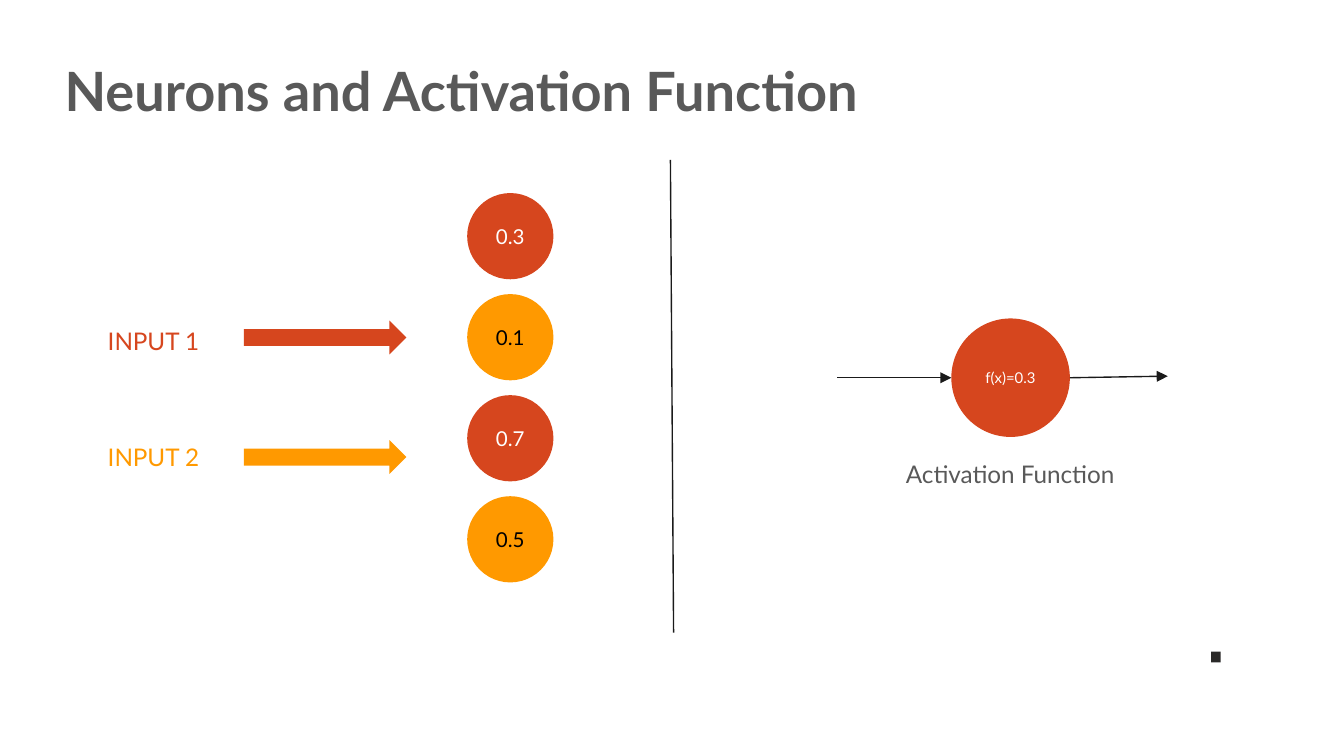
import pptx
import pptx.dml.color
import pptx.enum.shapes
import pptx.enum.text
import pptx.oxml
import pptx.oxml.ns
import pptx.util

Cm = pptx.util.Cm
Shape = pptx.enum.shapes.MSO_SHAPE
Align = pptx.enum.text.PP_ALIGN
Anchor = pptx.enum.text.MSO_ANCHOR

RED = "D6461E"
ORANGE = "FF9900"
GREY = "595959"
INK = "1A1A1A"
WHITE = "FFFFFF"
BLACK = "000000"


def color(value):
    return pptx.dml.color.RGBColor.from_string(value)


def write(shape, text, size, text_color, align=Align.CENTER, bold=False, anchor=Anchor.TOP):
    frame = shape.text_frame
    frame.word_wrap = True
    frame.vertical_anchor = anchor
    frame.margin_left = frame.margin_right = Cm(0.25)
    frame.margin_top = frame.margin_bottom = Cm(0.25)
    para = frame.paragraphs[0]
    para.text = text
    para.alignment = align
    para.font.name = "Lato"
    para.font.size = pptx.util.Pt(size)
    para.font.bold = bold
    para.font.color.rgb = color(text_color)


def add_label(page, left, top, width, height, text, size, text_color, **style):
    box = page.shapes.add_textbox(Cm(left), Cm(top), Cm(width), Cm(height))
    write(box, text, size, text_color, **style)


def add_solid(page, kind, left, top, width, height, fill):
    """Add a preset shape with a flat fill, no outline and no shadow."""
    shape = page.shapes.add_shape(kind, Cm(left), Cm(top), Cm(width), Cm(height))
    shape.shadow.inherit = False
    shape.fill.solid()
    shape.fill.fore_color.rgb = color(fill)
    shape.line.fill.background()
    return shape


def add_neuron(page, left, top, diameter, fill, text, size, text_color):
    circle = add_solid(page, Shape.OVAL, left, top, diameter, diameter, fill)
    write(circle, text, size, text_color, anchor=Anchor.MIDDLE)


def add_line(page, start, end, arrow=False):
    line = page.shapes.add_connector(
        pptx.enum.shapes.MSO_CONNECTOR.STRAIGHT, *map(Cm, start + end))
    line.line.color.rgb = color(INK)
    line.line.width = pptx.util.Pt(0.75)
    if arrow:
        tip = pptx.oxml.parse_xml(
            f'<a:tailEnd {pptx.oxml.ns.nsdecls("a")} type="triangle"/>')
        line.line._get_or_add_ln().append(tip)
    line._element.spPr.append(
        pptx.oxml.parse_xml(f'<a:effectLst {pptx.oxml.ns.nsdecls("a")}/>'))


def add_layer(page):
    """Stack the neurons of one layer at an even pitch."""
    values = ["0.3", "0.1", "0.7", "0.5"]
    for index, value in enumerate(values):
        fill, text_color = [(RED, WHITE), (ORANGE, BLACK)][index % 2]
        add_neuron(page, 8.83, 3.65 + 1.91 * index, 1.63, fill, value, 11, text_color)


def add_inputs(page):
    rows = [("INPUT 1", RED, 5.92, 6.06), ("INPUT 2", ORANGE, 8.11, 8.32)]
    for text, row_color, label_top, arrow_top in rows:
        add_label(page, 1.63, label_top, 2.54, 1.27, text, 13, row_color)
        add_solid(page, Shape.RIGHT_ARROW, 4.61, arrow_top, 3.07, 0.64, row_color)


def add_activation(page):
    add_neuron(page, 17.98, 6.02, 2.24, RED, "f(x)=0.3", 8, WHITE)
    add_line(page, (15.82, 7.14), (17.98, 7.14), arrow=True)
    add_line(page, (20.22, 7.14), (22.07, 7.11), arrow=True)
    add_label(page, 16.69, 8.43, 4.8, 0.97, "Activation Function", 13, GREY)


def main():
    deck = pptx.Presentation()
    deck.slide_width, deck.slide_height = Cm(25.4), Cm(14.29)
    page = deck.slides.add_slide(deck.slide_layouts[6])

    # Plain corner mark
    add_solid(page, Shape.RECTANGLE, 22.89, 12.32, 0.18, 0.2, "2A2928")
    add_label(page, 0.97, 0.84, 22.25, 1.63, "Neurons and Activation Function",
              29, GREY, align=Align.LEFT, bold=True)
    add_layer(page)
    add_inputs(page)
    add_line(page, (12.67, 3.02), (12.73, 11.96))
    add_activation(page)

    deck.save("out.pptx")


if __name__ == "__main__":
    main()
